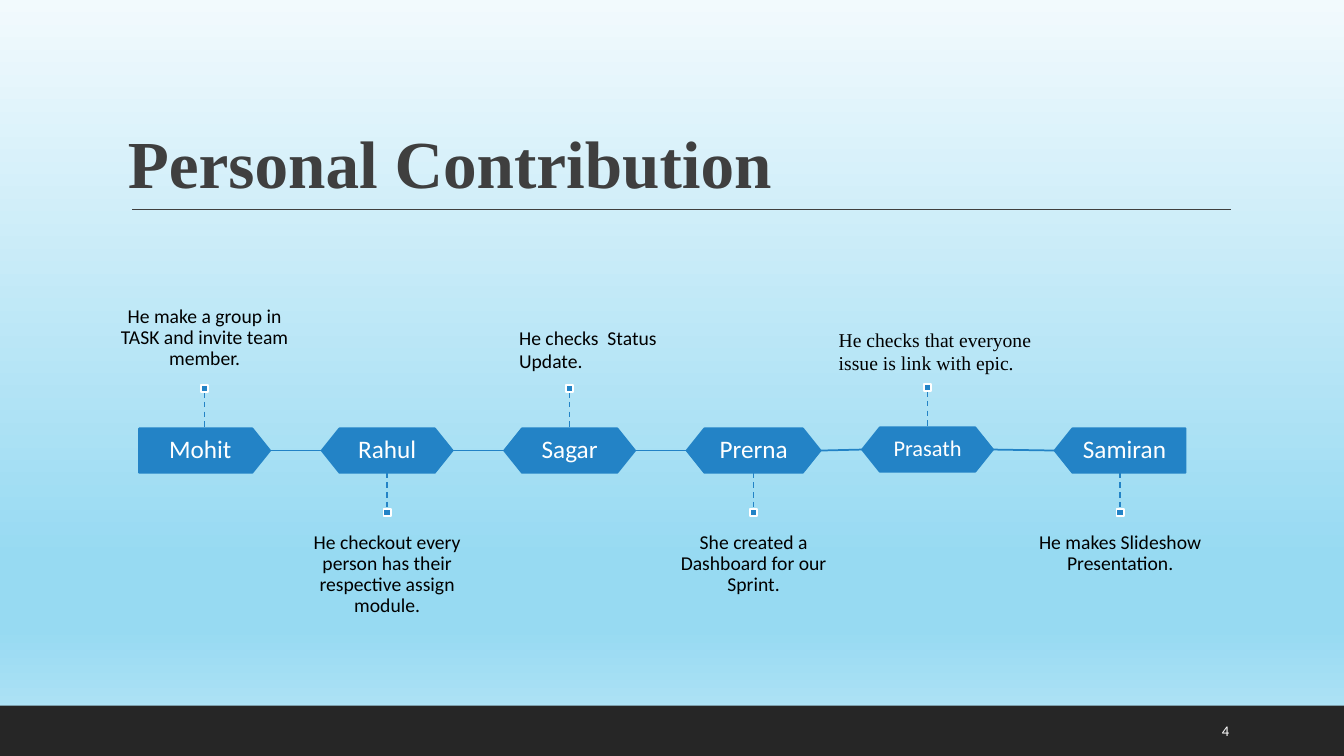
from dataclasses import dataclass

from lxml.etree import SubElement
from pptx import Presentation
from pptx.dml.color import RGBColor
from pptx.enum.dml import MSO_LINE
from pptx.enum.shapes import MSO_CONNECTOR, MSO_SHAPE
from pptx.enum.text import MSO_ANCHOR, PP_ALIGN
from pptx.oxml.ns import qn
from pptx.util import Inches, Pt

BLUE = RGBColor(0x23, 0x83, 0xC6)
WHITE = RGBColor(0xFF, 0xFF, 0xFF)
BLACK = RGBColor(0x00, 0x00, 0x00)
CHARCOAL = RGBColor(0x3F, 0x3F, 0x3F)
FOOTER = RGBColor(0x26, 0x26, 0x26)
SKY = (
    (0, RGBColor(0xF2, 0xFA, 0xFD)),
    (74, RGBColor(0x97, 0xDA, 0xF2)),
    (83, RGBColor(0x97, 0xDA, 0xF2)),
    (100, RGBColor(0xBA, 0xE6, 0xF6)),
)
SERIF = "Times New Roman"
BADGE_HEIGHT = 0.44
STEM = 0.36
MARKER = 0.07
NOTE_WIDTH = 1.81
NOTE_HEIGHT = 1.18


@dataclass
class Member:
    name: str
    left: float
    note: str = ""
    above: bool = False
    outline: MSO_SHAPE = MSO_SHAPE.HEXAGON
    flipped: bool = False
    top: float = 4.25
    width: float = 1.3
    size: int = 18

    @property
    def center(self):
        return self.left + self.width / 2

    @property
    def middle(self):
        return self.top + BADGE_HEIGHT / 2


TEAM = (
    Member("Mohit", 1.38, "He make a group in TASK and invite team member.",
           above=True, outline=MSO_SHAPE.PENTAGON),
    Member("Rahul", 3.19,
           "He checkout every person has their respective assign module."),
    Member("Sagar", 5, above=True),
    Member("Prerna", 6.81, "She created a Dashboard for our Sprint.", width=1.33),
    Member("Prasath", 8.55, above=True, top=4.24, size=16),
    Member("Samiran", 10.46, "He makes Slideshow Presentation.",
           outline=MSO_SHAPE.PENTAGON, flipped=True),
)


def write(frame, text, *, size=14, font="Calibri", color=BLACK, bold=False,
          align=PP_ALIGN.LEFT, anchor=MSO_ANCHOR.TOP, spacing=1.0,
          inset=(0.1, 0.05), wrap=True):
    frame.word_wrap = wrap
    frame.vertical_anchor = anchor
    frame.margin_left = frame.margin_right = Inches(inset[0])
    frame.margin_top = frame.margin_bottom = Inches(inset[1])
    paragraph = frame.paragraphs[0]
    paragraph.alignment = align
    paragraph.line_spacing = spacing
    run = paragraph.add_run()
    run.text = text
    run.font.size = Pt(size)
    run.font.name = font
    run.font.bold = bold
    run.font.color.rgb = color


def add_text(slide, text, left, top, width, height, **style):
    box = slide.shapes.add_textbox(
        Inches(left), Inches(top), Inches(width), Inches(height))
    write(box.text_frame, text, **style)


def add_block(slide, outline, left, top, width, height, fill, line=None):
    block = slide.shapes.add_shape(
        outline, Inches(left), Inches(top), Inches(width), Inches(height))
    block.shadow.inherit = False
    block.fill.solid()
    block.fill.fore_color.rgb = fill
    if line is None:
        block.line.fill.background()
    else:
        block.line.color.rgb = line
        block.line.width = Pt(1.25)
    return block


def add_line(slide, start, end, color, width, dash=None):
    line = slide.shapes.add_connector(
        MSO_CONNECTOR.STRAIGHT, *(Inches(value) for value in (*start, *end)))
    line.line.color.rgb = color
    line.line.width = Pt(width)
    if dash is not None:
        line.line.dash_style = dash
    SubElement(line.element.spPr, qn("a:effectLst"))


def paint_background(slide):
    fill = slide.background.fill
    fill.gradient()
    fill.gradient_angle = 270
    stops = next(slide.element.iter(qn("a:gsLst")))
    for stop in list(stops):
        stops.remove(stop)
    for position, color in SKY:
        stop = SubElement(stops, qn("a:gs"), pos=str(position * 1000))
        SubElement(stop, qn("a:srgbClr"), val=str(color))


def add_member(slide, member):
    badge = add_block(slide, member.outline, member.left, member.top,
                      member.width, BADGE_HEIGHT, BLUE, BLUE)
    badge.adjustments[0] = 0.4
    if member.flipped:
        badge.element.spPr.xfrm.set("flipH", "1")
    write(badge.text_frame, member.name, size=member.size, color=WHITE,
          align=PP_ALIGN.CENTER, anchor=MSO_ANCHOR.MIDDLE, spacing=0.9,
          inset=(0, 0), wrap=False)

    if member.above:
        stem_top = member.top - STEM
        marker_top = stem_top - MARKER
        note_top, anchor = 2.63, MSO_ANCHOR.BOTTOM
    else:
        stem_top = member.top + BADGE_HEIGHT
        marker_top = stem_top + STEM
        note_top, anchor = 5.14, MSO_ANCHOR.TOP
    add_line(slide, (member.center, stem_top), (member.center, stem_top + STEM),
             BLUE, 1, MSO_LINE.DASH)
    add_block(slide, MSO_SHAPE.RECTANGLE, member.center - MARKER / 2, marker_top,
              MARKER, MARKER, BLUE, WHITE)
    if member.note:
        add_text(slide, member.note, member.center - NOTE_WIDTH / 2, note_top,
                 NOTE_WIDTH, NOTE_HEIGHT, align=PP_ALIGN.CENTER, anchor=anchor,
                 spacing=0.9, inset=(0, 0.14))


def main():
    deck = Presentation()
    deck.slide_width = Inches(13.33)
    deck.slide_height = Inches(7.5)
    slide = deck.slides.add_slide(deck.slide_layouts[6])

    paint_background(slide)
    add_block(slide, MSO_SHAPE.RECTANGLE, 0, 7, 13.33, 0.5, FOOTER)
    add_line(slide, (1.31, 2.08), (12.21, 2.08), CHARCOAL, 1)
    add_text(slide, "Personal Contribution", 1.17, 0.47, 11, 1.59, size=48,
             font=SERIF, color=CHARCOAL, bold=True, anchor=MSO_ANCHOR.BOTTOM,
             spacing=0.9)

    for member, following in zip(TEAM, TEAM[1:]):
        add_line(slide, (member.left + member.width, member.middle),
                 (following.left, following.middle), BLUE, 1.25)
    for member in TEAM:
        add_member(slide, member)

    add_text(slide, "He checks  Status Update.", 5.05, 3.18, 1.8, 0.57)
    add_text(slide, "He checks that everyone issue is link with epic.",
             8.22, 3.2, 2.19, 0.57, font=SERIF)
    add_text(slide, "4", 12.02, 7.05, 0.85, 0.4, size=10.5, color=WHITE,
             anchor=MSO_ANCHOR.MIDDLE)
    deck.save("out.pptx")


if __name__ == "__main__":
    main()
